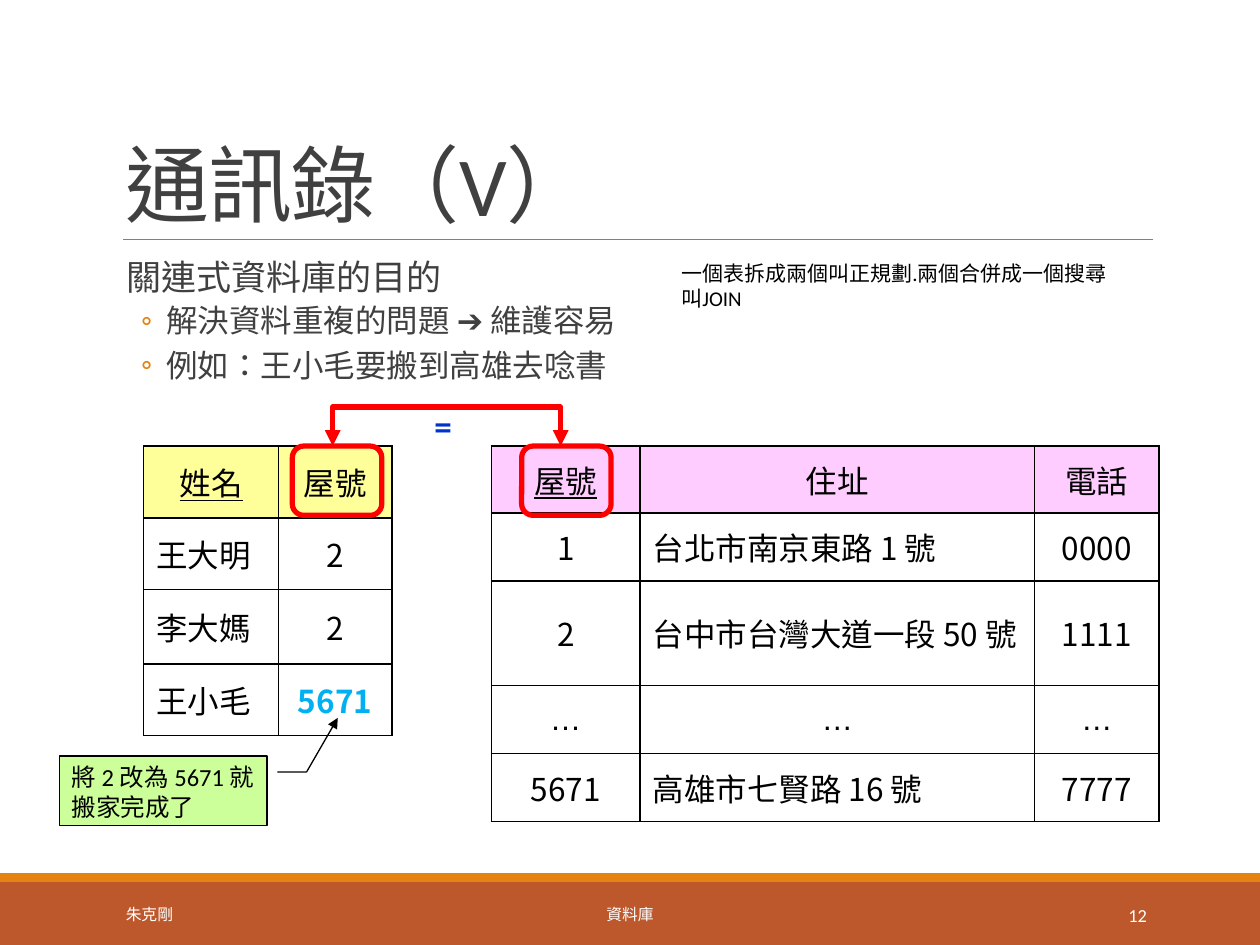
from dataclasses import dataclass

from lxml.etree import SubElement
from pptx import Presentation
from pptx.dml.color import RGBColor
from pptx.enum.shapes import MSO_CONNECTOR, MSO_SHAPE
from pptx.enum.text import MSO_ANCHOR, MSO_AUTO_SIZE, PP_ALIGN
from pptx.oxml.ns import qn
from pptx.util import Inches, Pt

CJK_FONT = "Noto Sans CJK TC"
LEFT, CENTER, RIGHT = PP_ALIGN.LEFT, PP_ALIGN.CENTER, PP_ALIGN.RIGHT
TOP, MIDDLE, BOTTOM = MSO_ANCHOR.TOP, MSO_ANCHOR.MIDDLE, MSO_ANCHOR.BOTTOM


@dataclass
class Grid:
    left: float
    columns: list[float]
    heights: list[float]
    header_fill: str
    left_column: int
    key_column: int
    rows: list[list[str]]


@dataclass
class Label:
    text: str
    box: tuple[float, float, float, float]
    size: float
    color: str = "000000"
    align: PP_ALIGN = LEFT
    anchor: MSO_ANCHOR = TOP
    bold: bool = False
    wrap: bool = True
    grow: bool = False
    line_spacing: float | None = None
    tracking: int = 0


def rgb(color: str) -> RGBColor:
    return RGBColor.from_string(color)


def write(paragraph, text: str, *, size: float, color: str = "000000", font: str = "Calibri",
          bold: bool = False, underline: bool = False, align: PP_ALIGN = LEFT,
          line_spacing: float | None = None, tracking: int = 0) -> None:
    paragraph.alignment = align
    paragraph.line_spacing = line_spacing
    run = paragraph.add_run()
    run.text = text
    run.font.size = Pt(size)
    run.font.bold = bold
    run.font.underline = underline
    run.font.color.rgb = rgb(color)
    run.font.name = font
    properties = run._r.get_or_add_rPr()
    properties.set("lang", "en-US")
    properties.set("altLang", "zh-TW")
    if not text.isascii():
        properties.set("lang", "zh-TW")
    SubElement(properties, qn("a:ea"), typeface=CJK_FONT)
    if tracking:
        properties.set("spc", str(tracking))


def add_frame(slide, box: tuple[float, float, float, float]):
    frame = slide.shapes.add_textbox(*map(Inches, box)).text_frame
    frame.word_wrap = True
    return frame


def add_label(slide, label: Label) -> None:
    frame = add_frame(slide, label.box)
    frame.word_wrap = label.wrap
    frame.vertical_anchor = label.anchor
    if label.grow:
        frame.auto_size = MSO_AUTO_SIZE.SHAPE_TO_FIT_TEXT
    write(frame.paragraphs[0], label.text, size=label.size, color=label.color, bold=label.bold,
          align=label.align, line_spacing=label.line_spacing, tracking=label.tracking)


def style(shape, fill: str | None = None, line: str | None = None, width: float = 1) -> None:
    shape.shadow.inherit = False
    if fill:
        shape.fill.solid()
        shape.fill.fore_color.rgb = rgb(fill)
    else:
        shape.fill.background()
    if line:
        shape.line.color.rgb = rgb(line)
        shape.line.width = Pt(width)
    else:
        shape.line.fill.background()


def add_shape(slide, kind: MSO_SHAPE, box: tuple[float, float, float, float], **look):
    shape = slide.shapes.add_shape(kind, *map(Inches, box))
    style(shape, **look)
    return shape


def add_arrowheads(shape, *ends: str) -> None:
    for end in ends:
        SubElement(shape.line._get_or_add_ln(), qn(f"a:{end}"), type="triangle")


def add_borders(cell) -> None:
    properties = cell._tc.get_or_add_tcPr()
    for side in ("lnL", "lnR", "lnT", "lnB"):
        border = SubElement(properties, qn(f"a:{side}"), w=str(Pt(1)))
        fill = SubElement(border, qn("a:solidFill"))
        SubElement(fill, qn("a:srgbClr"), val="000000")


def add_grid(slide, grid: Grid) -> None:
    table = slide.shapes.add_table(
        len(grid.rows), len(grid.columns), Inches(grid.left), Inches(3.54),
        Inches(sum(grid.columns)), Inches(sum(grid.heights))).table
    table.first_row = table.horz_banding = False
    for column, width in zip(table.columns, grid.columns):
        column.width = Inches(width)
    for row, height in zip(table.rows, grid.heights):
        row.height = Inches(height)
    for i, texts in enumerate(grid.rows):
        for j, text in enumerate(texts):
            cell = table.cell(i, j)
            cell.vertical_anchor = MIDDLE
            add_borders(cell)
            if i == 0:
                cell.fill.solid()
                cell.fill.fore_color.rgb = rgb(grid.header_fill)
            else:
                cell.fill.background()
            changed = text == "5671" and j == 1
            flush = i > 0 and j == grid.left_column and text != "…"
            write(cell.text_frame.paragraphs[0], text, size=18, bold=changed,
                  font="Arial" if text == "…" else CJK_FONT,
                  color="00B0F0" if changed else "000000",
                  underline=i == 0 and j == grid.key_column, align=LEFT if flush else CENTER)


def add_goals(slide) -> None:
    frame = add_frame(slide, (0.9, 2.02, 8.25, 1.3))
    frame.margin_left = frame.margin_right = 0
    goals = ["關連式資料庫的目的", "解決資料重複的問題 ➔ 維護容易", "例如：王小毛要搬到高雄去唸書"]
    for i, text in enumerate(goals):
        paragraph = frame.add_paragraph() if i else frame.paragraphs[0]
        write(paragraph, text, size=18 if i else 20, color="404040", line_spacing=0.9)
        paragraph.space_before = Pt(2 if i else 12)
        paragraph.space_after = Pt(4 if i else 2)
        properties = paragraph._p.get_or_add_pPr()
        properties.set("marL", str(Inches(0.42 if i else 0.1)))
        properties.set("indent", str(Inches(-0.2 if i else 0)))
        if i:
            color = SubElement(properties, qn("a:buClr"))
            SubElement(color, qn("a:srgbClr"), val="E48312")
            SubElement(properties, qn("a:buFont"), typeface="Calibri")
            SubElement(properties, qn("a:buChar"), char="◦")


def add_join_link(slide) -> None:
    for left in (2.32, 4.14):
        add_shape(slide, MSO_SHAPE.ROUNDED_RECTANGLE, (left, 3.54, 0.71, 0.55),
                  line="FF0000", width=3)
    builder = slide.shapes.build_freeform(Inches(2.64), Inches(3.54))
    corners = [(2.64, 3.23), (4.45, 3.23), (4.45, 3.54)]
    builder.add_line_segments([(Inches(x), Inches(y)) for x, y in corners], close=False)
    link = builder.convert_to_shape()
    style(link, line="FF0000", width=3)
    add_arrowheads(link, "headEnd", "tailEnd")


def add_callout(slide) -> None:
    callout = add_shape(slide, MSO_SHAPE.LINE_CALLOUT_2, (0.47, 6, 1.65, 0.55),
                        fill="CCFF99", line="000000", width=0.75)
    for i, value in enumerate((0.23, 1.05, 0.23, 1.19, -0.55, 1.34)):
        callout.adjustments[i] = value
    add_arrowheads(callout, "tailEnd")
    callout.text_frame.word_wrap = True
    callout.text_frame.vertical_anchor = TOP
    write(callout.text_frame.paragraphs[0], "將 2 改為 5671 就搬家完成了", size=14)


LABELS = [
    Label("通訊錄（V）", (0.9, 0.31, 8.25, 1.59), 48, "404040", anchor=BOTTOM,
          line_spacing=0.85, tracking=-50),
    Label("朱克剛", (0.9, 7.06, 2.03, 0.4), 9, "FFFFFF", anchor=MIDDLE),
    Label("資料庫", (3.02, 7.06, 3.96, 0.4), 9, "FFFFFF", CENTER, MIDDLE),
    Label("12", (8.12, 7.06, 1.08, 0.4), 10.5, "FFFFFF", RIGHT, MIDDLE),
    Label("=", (3.35, 3.16, 0.44, 0.43), 20, "0033CC", bold=True, wrap=False, grow=True),
    Label("一個表拆成兩個叫正規劃.兩個合併成一個搜尋叫JOIN", (5.31, 2.02, 3.59, 0.5), 12, grow=True),
]
GRIDS = [
    Grid(1.14, [1.07, 0.9], [0.57, 0.57, 0.59, 0.57], "FFFF99", 0, 0,
         [["姓名", "屋號"], ["王大明", "2"], ["李大媽", "2"], ["王小毛", "5671"]]),
    Grid(3.9, [1.18, 3.13, 0.99], [0.53, 0.54, 0.83, 0.54, 0.54], "FFCCFF", 1, 0,
         [["屋號", "住址", "電話"], ["1", "台北市南京東路 1 號", "0000"],
          ["2", "台中市台灣大道一段 50 號", "1111"], ["…"] * 3,
          ["5671", "高雄市七賢路 16 號", "7777"]]),
]

presentation = Presentation()
presentation.slide_width, presentation.slide_height = Inches(10), Inches(7.5)
slide = presentation.slides.add_slide(presentation.slide_layouts[6])
add_shape(slide, MSO_SHAPE.RECTANGLE, (0, 7, 10, 0.5), fill="BD582C")
add_shape(slide, MSO_SHAPE.RECTANGLE, (0, 6.93, 10, 0.07), fill="E48312")
rule = slide.shapes.add_connector(
    MSO_CONNECTOR.STRAIGHT, Inches(0.98), Inches(1.9), Inches(9.15), Inches(1.9))
rule.line.color.rgb = rgb("808080")
rule.line.width = Pt(0.5)
SubElement(rule._element.spPr, qn("a:effectLst"))
add_goals(slide)
for grid in GRIDS:
    add_grid(slide, grid)
add_join_link(slide)
add_callout(slide)
for label in LABELS:
    add_label(slide, label)
presentation.save("out.pptx")
